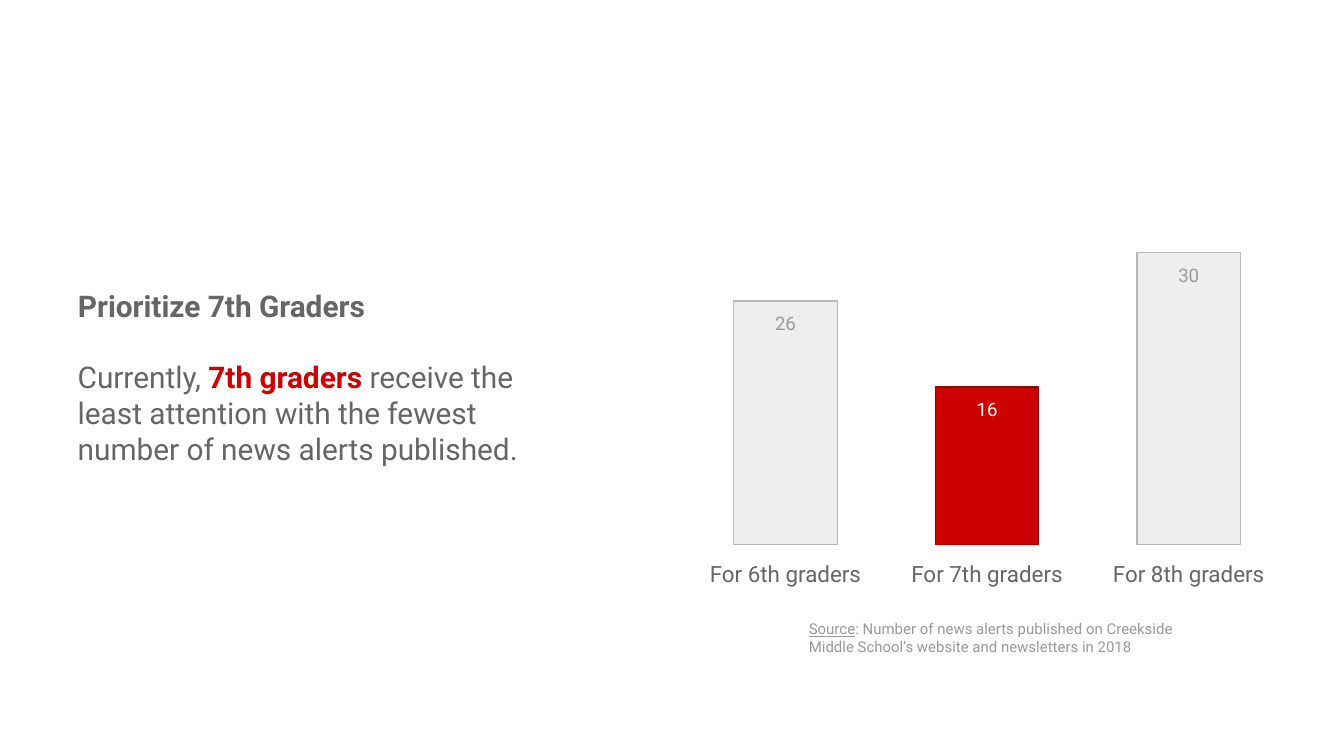
from pptx import Presentation
from pptx.dml.color import RGBColor
from pptx.enum.shapes import MSO_SHAPE
from pptx.enum.text import MSO_ANCHOR, PP_ALIGN
from pptx.util import Inches, Pt

RECT = MSO_SHAPE.RECTANGLE
TOP = MSO_ANCHOR.TOP
LEFT, CENTER = PP_ALIGN.LEFT, PP_ALIGN.CENTER

WHITE = RGBColor(0xFF, 0xFF, 0xFF)
DARK_GRAY = RGBColor(0x66, 0x66, 0x66)
MID_GRAY = RGBColor(0x99, 0x99, 0x99)
LINE_GRAY = RGBColor(0xB7, 0xB7, 0xB7)
PALE_GRAY = RGBColor(0xEE, 0xEE, 0xEE)
RED = RGBColor(0xCC, 0x00, 0x00)
DARK_RED = RGBColor(0x99, 0x00, 0x00)


def write(sp, runs, size, align=LEFT):
    """Fill a shape with one paragraph of (text, color, font format) runs."""
    tf = sp.text_frame
    tf.word_wrap = True
    tf.vertical_anchor = TOP
    for side in ("left", "right", "top", "bottom"):
        setattr(tf, "margin_" + side, Inches(0.1))
    p = tf.paragraphs[0]
    p.alignment = align
    p.line_spacing = 1.0
    for text, color, fmt in runs:
        r = p.add_run()
        r.text = text
        r.font.color.rgb = color
        for name, value in {"name": "Roboto", "size": Pt(size), **fmt}.items():
            setattr(r.font, name, value)


def add_text(s, box, runs, size, align=LEFT):
    sp = s.shapes.add_textbox(*map(Inches, box))
    write(sp, runs, size, align)


# Widescreen page, 16:9
prs = Presentation()
prs.slide_width, prs.slide_height = Inches(10), Inches(10 * 9 / 16)
s = prs.slides.add_slide(prs.slide_layouts[5])

# Heading
title = s.shapes.title
title.left, title.top = Inches(0.48), Inches(2.04)
title.width, title.height = Inches(3.97), Inches(0.47)
write(title, [("Prioritize 7th Graders", DARK_GRAY, {"bold": True})], 16)

# Message
add_text(s, (0.48, 2.57, 3.97, 1.02), [
    ("Currently, ", DARK_GRAY, {}),
    ("7th graders", RED, {"bold": True}),
    (" receive the least attention with the fewest number of news alerts "
     "published.", DARK_GRAY, {}),
], 16)

# Bars with their values and grade labels
BASE, BAR_W, LABEL_W = 4.05, 0.77, 1.77
FIRST_X, STEP = 5.46, 1.5
bars = [
    ("6th", 26, 1.81, PALE_GRAY, LINE_GRAY, MID_GRAY),
    ("7th", 16, 1.17, RED, DARK_RED, WHITE),
    ("8th", 30, 2.17, PALE_GRAY, LINE_GRAY, MID_GRAY),
]
for i, (grade, alerts, height, fill, line, color) in enumerate(bars):
    x, y = FIRST_X + i * STEP, BASE - height
    bar = s.shapes.add_shape(RECT, *map(Inches, (x, y, BAR_W, height)))
    bar.shadow.inherit = False
    bar.fill.solid()
    bar.fill.fore_color.rgb = fill
    bar.line.color.rgb = line
    bar.line.width = Pt(0.75)
    add_text(s, (x, y, BAR_W, 0.37), [(str(alerts), color, {})], 10, CENTER)
    add_text(s, (x + (BAR_W - LABEL_W) / 2, 4.07, LABEL_W, 0.4),
             [(f"For {grade} graders", DARK_GRAY, {})], 12, CENTER)

# Source note
add_text(s, (5.92, 4.51, 3, 0.47), [
    ("Source", MID_GRAY, {"underline": True}),
    (": Number of news alerts published on Creekside Middle School\u2019s "
     "website and newsletters in 2018", MID_GRAY, {}),
], 8)

prs.save("out.pptx")
